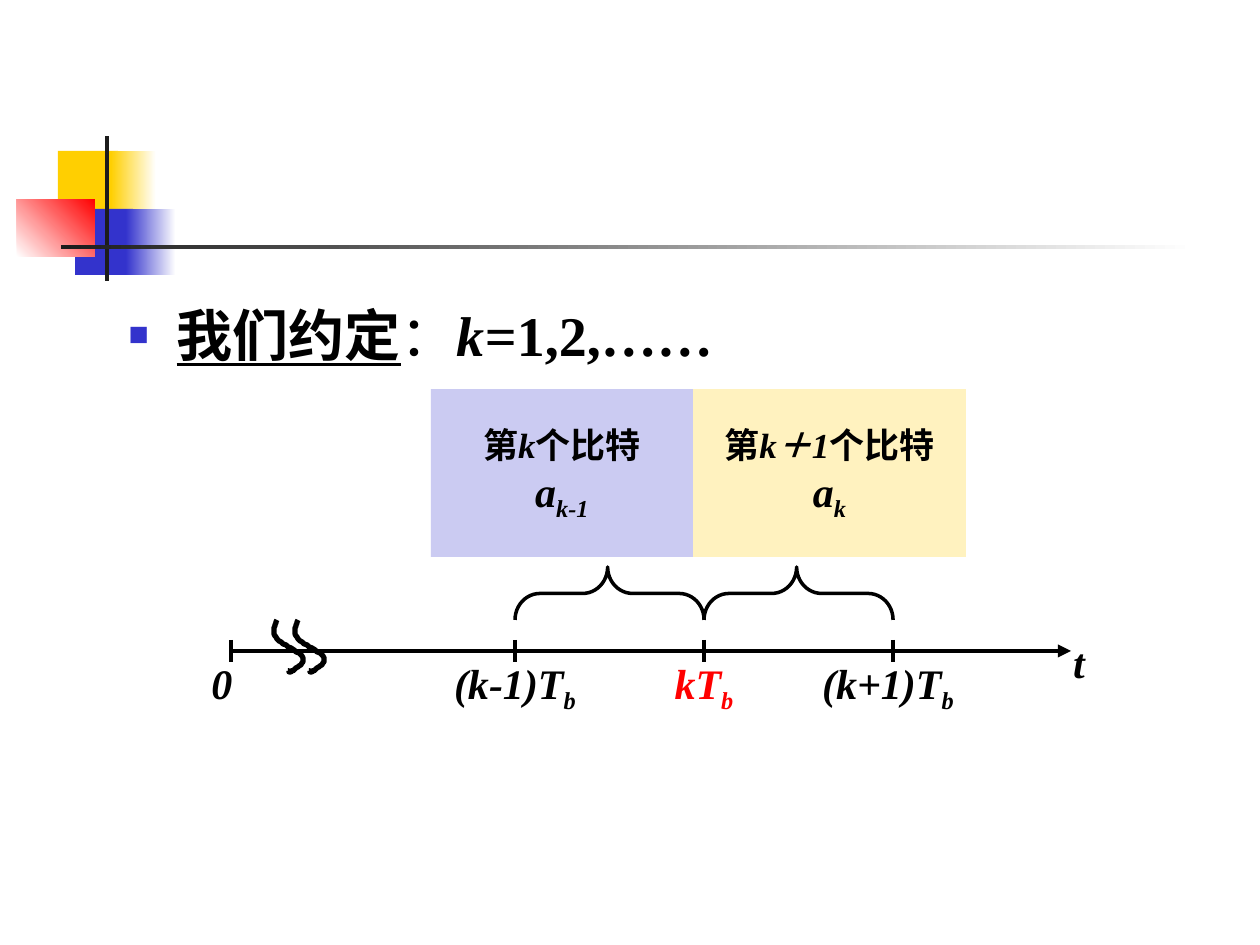
from lxml.etree import SubElement
from pptx import Presentation
from pptx.dml.color import RGBColor
from pptx.enum.shapes import MSO_CONNECTOR, MSO_SHAPE
from pptx.enum.text import MSO_ANCHOR, PP_ALIGN
from pptx.oxml.ns import qn
from pptx.util import Emu, Pt

SCALE = 914400 / 126
BLACK, YELLOW, BLUE, RED, GRAY, WHITE = "000000", "FFCF01", "3333CC", "FF0000", "1C1C1C", "FFFFFF"
SERIF = "Times New Roman"
SUBSCRIPT = {"baseline": -25000}


def px(length):
    """Turn px into EMU."""
    return Emu(round(length * SCALE))


def paint(target, color):
    """Give a colour format a hex colour."""
    target.rgb = RGBColor.from_string(color)


def write(frame, lines, align=PP_ALIGN.CENTER, **style):
    """Write lines of (text, format changes) spans into a text frame."""
    for index, line in enumerate(lines):
        para = frame.add_paragraph() if index else frame.paragraphs[0]
        para.alignment = align
        for text, changes in line:
            look = {"size": 24, "font": SERIF, "color": BLACK, "bold": True,
                    "italic": True, "underline": False, "baseline": 0, **style, **changes}
            span = para.add_run()
            span.text = text
            span.font.size = Pt(look["size"])
            span.font.name = look["font"]
            span.font.bold = look["bold"]
            span.font.italic = look["italic"]
            span.font.underline = look["underline"]
            paint(span.font.color, look["color"])
            if look["baseline"]:
                span._r.get_or_add_rPr().set("baseline", str(look["baseline"]))


def add_block(page, box, fill, fade=None, angle=0, alpha=None):
    """Add a borderless rectangle with a solid, fading or translucent fill."""
    block = page.shapes.add_shape(MSO_SHAPE.RECTANGLE, *map(px, box))
    block.shadow.inherit = False
    block.line.fill.background()
    if fade:
        block.fill.gradient()
        block.fill.gradient_angle = angle
        for stop, color in zip(block.fill.gradient_stops, (fill, fade)):
            paint(stop.color, color)
    else:
        block.fill.solid()
        paint(block.fill.fore_color, fill)
    if alpha:
        color = block._element.spPr.find(qn("a:solidFill"))[0]
        SubElement(color, qn("a:alpha"), val=str(alpha * 1000))
    return block


def add_line(page, start, end, width, arrow=False):
    """Add a straight black line, with an arrowhead at its end if asked."""
    line = page.shapes.add_connector(MSO_CONNECTOR.STRAIGHT, *map(px, start + end))
    line.line.width = Pt(width)
    paint(line.line.color, BLACK)
    if arrow:
        SubElement(line.line._get_or_add_ln(), qn("a:tailEnd"), type="triangle")
    SubElement(line._element.spPr, qn("a:effectLst"))


def add_label(page, center, top, width, spans):
    """Add a one-line label centred on a position."""
    label = page.shapes.add_textbox(px(center - width / 2), px(top), px(width), px(63))
    label.text_frame.word_wrap = True
    write(label.text_frame, [spans])


def add_ornament(page, left, top):
    """Draw the coloured squares and crossing bars."""
    parts = [
        ((41, 15, 60, 66), YELLOW, None, 0),
        ((94, 15, 45, 66), YELLOW, WHITE, 0),
        ((58, 73, 58, 66), BLUE, None, 0),
        ((109, 73, 50, 66), BLUE, WHITE, 0),
        ((0, 63, 78, 58), WHITE, RED, 45),
        ((88, 0, 4, 145), GRAY, None, 0),
        ((44, 109, 1134, 4), GRAY, WHITE, 0),
    ]
    for (x, y, width, height), fill, fade, angle in parts:
        add_block(page, (left + x, top + y, width, height), fill, fade, angle)


def fill_body(page, left, top, width, height):
    """Place the convention statement in the body placeholder."""
    body = page.placeholders[1]
    body.left, body.top, body.width, body.height = map(px, (left, top, width, height))
    write(body.text_frame, [[
        ("我们约定", {"font": "Karla", "underline": True}),
        ("：", {"font": "Karla", "bold": False}),
        ("k", {"italic": True}),
        ("=1,2,……", {}),
    ]], align=PP_ALIGN.LEFT, size=32, italic=False)
    para = body.text_frame.paragraphs[0]
    para.space_before = Pt(6.4)
    properties = para._p.get_or_add_pPr()
    properties.set("marL", str(px(48)))
    properties.set("indent", str(px(-48)))
    bullet_color = SubElement(properties, qn("a:buClr"))
    SubElement(bullet_color, qn("a:srgbClr"), val=BLUE)
    SubElement(properties, qn("a:buSzPct"), val="60000")
    SubElement(properties, qn("a:buChar"), char="■")


def add_bit(page, box, fill, number, index):
    """Add a tinted block that names one bit and its symbol."""
    frame = add_block(page, box, fill, alpha=25).text_frame
    frame.word_wrap = False
    frame.vertical_anchor = MSO_ANCHOR.MIDDLE
    upright = {"size": 20, "italic": False}
    write(frame, [
        [("第", upright), (number, {"size": 20}), ("个比特", upright)],
        [("a", {}), (index, SUBSCRIPT)],
    ])


def add_brace(page, left, top, width, height):
    """Add an upward brace over the given box."""
    x, y = left + (width - height) / 2, top + (height - width) / 2
    brace = page.shapes.add_shape(MSO_SHAPE.LEFT_BRACE, px(x), px(y), px(height), px(width))
    brace.rotation = 90
    brace.adjustments[0], brace.adjustments[1] = 0.47, 0.51
    brace.shadow.inherit = False
    brace.fill.background()
    brace.line.width = Pt(2)
    paint(brace.line.color, BLACK)


def add_break_mark(page, left, top):
    """Draw one wavy axis break from sampled cubic curves."""
    points = [(4, 0), (1, 6), (-1, 13), (4, 19), (9, 25), (28, 32), (30, 38),
              (33, 43), (21, 50), (19, 51), (17, 52), (16, 52), (15, 51)]
    trace = []
    for first in range(0, len(points) - 1, 3):
        for step in range(1, 13):
            t = step / 12
            weights = ((1 - t) ** 3, 3 * t * (1 - t) ** 2, 3 * t * t * (1 - t), t ** 3)
            curve = points[first:first + 4]
            trace.append(tuple(sum(w * point[axis] for w, point in zip(weights, curve))
                               for axis in (0, 1)))
    builder = page.shapes.build_freeform(*points[0], scale=SCALE)
    builder.add_line_segments(trace, close=False)
    mark = builder.convert_to_shape(px(left), px(top))
    mark.shadow.inherit = False
    mark.fill.background()
    mark.line.width = Pt(3)
    paint(mark.line.color, BLACK)


def add_timeline(page, left, top, width):
    """Draw the time axis with its ticks, braces, labels and break."""
    period, first = 189, left + 284
    add_line(page, (left, top), (left + width, top), 2.5, arrow=True)
    ticks = [first + period * step for step in range(3)]
    for tick in [left, *ticks]:
        add_line(page, (tick, top - 11), (tick, top + 11), 2.25)
    for tick in ticks[:2]:
        add_brace(page, tick, top - 84, period, 53)
    labels = [(0, "(k-1)T", BLACK), (0, "kT", RED), (-5, "(k+1)T", BLACK)]
    for tick, (shift, text, color) in zip(ticks, labels):
        add_label(page, tick + shift, top, period,
                  [(text, {"color": color}), ("b", {"color": color, **SUBSCRIPT})])
    add_label(page, left - 9, top, 73, [("0", {})])
    add_label(page, left + 848, top - 21, 84, [("t", {})])
    for offset in (42, 63):
        add_break_mark(page, left + offset, top - 31)


def main():
    """Build the slide and save the deck."""
    deck = Presentation()
    deck.slide_width, deck.slide_height = px(1260), px(945)
    page = deck.slides.add_slide(deck.slide_layouts[1])
    title = page.shapes.title._element
    title.getparent().remove(title)
    add_ornament(page, 17, 136)
    fill_body(page, 116, 294, 1071, 567)
    add_timeline(page, 231, 651, 840)
    add_bit(page, (431, 389, 262, 168), BLUE, "k", "k-1")
    add_bit(page, (693, 389, 273, 168), YELLOW, "k＋1", "k")
    deck.save("out.pptx")


if __name__ == "__main__":
    main()
